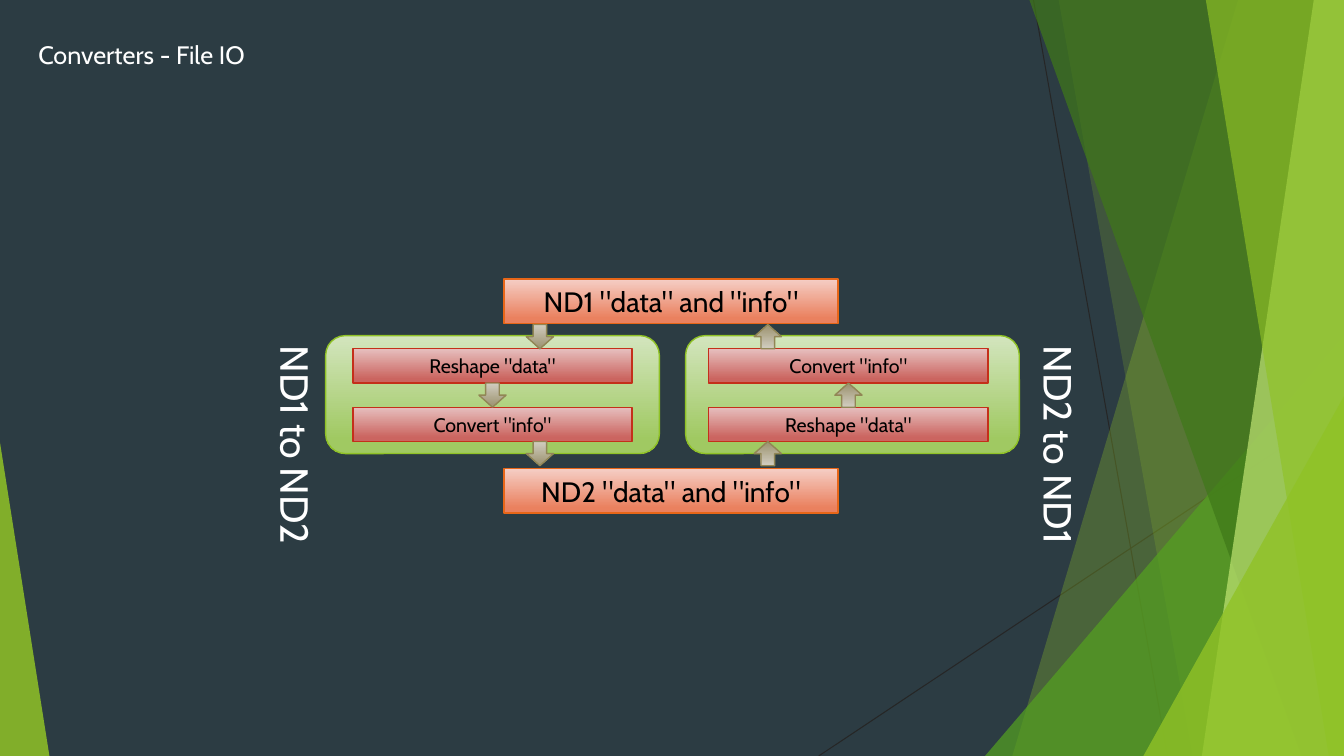
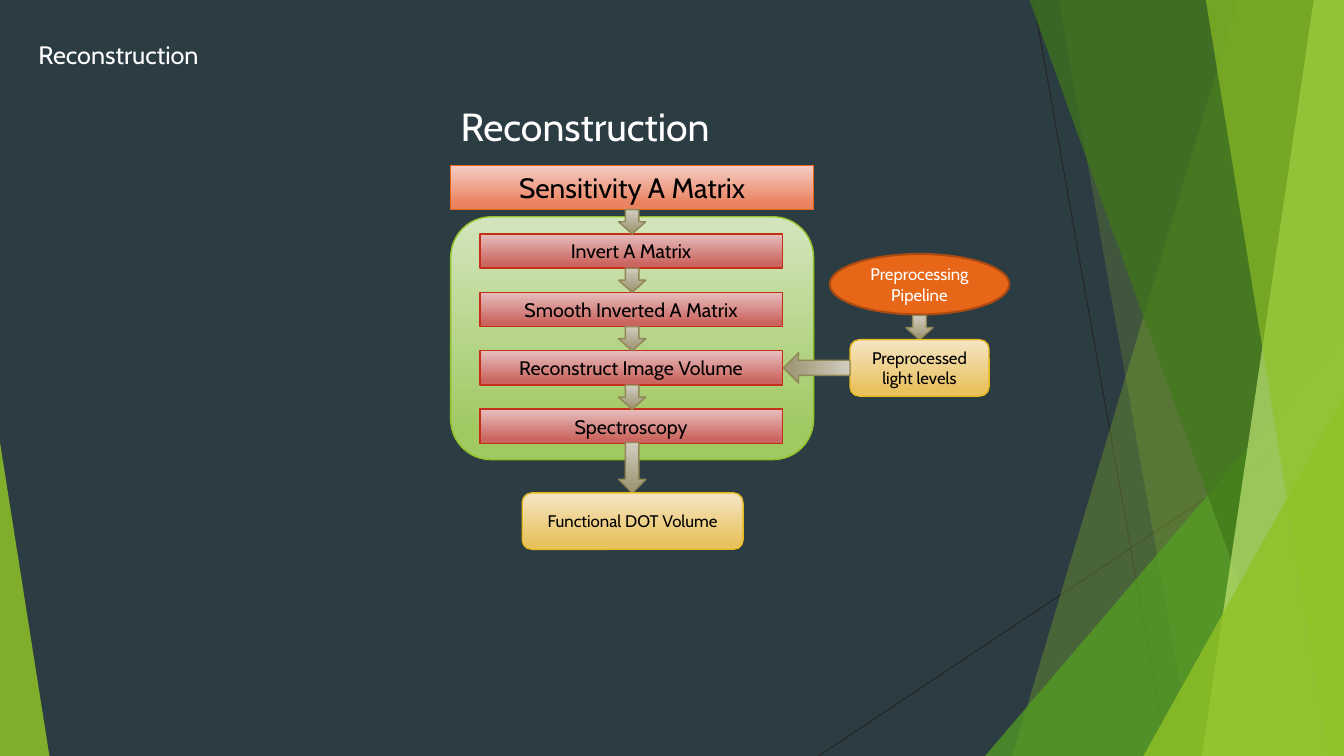
import pptx
import pptx.dml.color
import pptx.enum.shapes
import pptx.enum.text
import pptx.oxml.ns
import pptx.oxml.xmlchemy
import pptx.util
from lxml import etree

Inches = pptx.util.Inches
Pt = pptx.util.Pt
SHAPE = pptx.enum.shapes.MSO_SHAPE
ANCHOR = pptx.enum.text.MSO_ANCHOR
ALIGN = pptx.enum.text.PP_ALIGN
qn = pptx.oxml.ns.qn

WIDTH, HEIGHT = 13.33, 7.5
FONT = "Cabin"
BACKGROUND, WHITE, BLACK, HAIRLINE = "2C3C43", "FFFFFF", "000000", "262626"
LIME, GREEN, FOREST, PALE = "90C226", "54A021", "3F7819", "C0E474"

# preset, fill colours from top to bottom, line colour, line width, text size, text colour
STYLES = {
    "panel": (SHAPE.ROUNDED_RECTANGLE, ("D3E5BE", "A0C962"), LIME, 1, 14, BLACK),
    "header": (SHAPE.RECTANGLE, ("F5CEC5", "EA815F"), "E76618", 1, 20, BLACK),
    "step": (SHAPE.RECTANGLE, ("E6BFBE", "CB6560"), "C42F1A", 1, 14, BLACK),
    "result": (SHAPE.ROUNDED_RECTANGLE, ("F5E5C5", "E9C260"), "E6B91E", 1, 12, BLACK),
    "source": (SHAPE.OVAL, ("E76618",), "AB4B12", 1.5, 12, WHITE),
    "arrow": (SHAPE.DOWN_ARROW, ("D1CDC0", "A19877"), "918655", 1, 12, BLACK),
}
HEADER_HEIGHT = 0.44
STEP_HEIGHT, STEP_PITCH = 0.34, 0.58
ARROW_WIDTH, ARROW_HEIGHT = 0.27, 0.24


def color(value):
    return pptx.dml.color.RGBColor.from_string(value)


def write(shape, text, size, text_color, alignment, anchor=ANCHOR.MIDDLE):
    frame = shape.text_frame
    frame.word_wrap = True
    frame.vertical_anchor = anchor
    paragraph = frame.paragraphs[0]
    paragraph.text = text
    paragraph.alignment = alignment
    paragraph.font.name = FONT
    paragraph.font.size = Pt(size)
    paragraph.font.color.rgb = color(text_color)


def add_node(slide, style, left, top, width, height, text="", rotation=0):
    """Add a diagram shape in one of the named styles."""
    preset, fills, line_color, line_width, size, text_color = STYLES[style]
    shape = slide.shapes.add_shape(
        preset, Inches(left), Inches(top), Inches(width), Inches(height))
    shape.shadow.inherit = False
    shape.rotation = rotation
    if len(fills) == 1:
        shape.fill.solid()
        shape.fill.fore_color.rgb = color(fills[0])
    else:
        shape.fill.gradient()
        shape.fill.gradient_angle = 270
        for stop, value, position in zip(shape.fill.gradient_stops, fills, (0, 0.88)):
            stop.color.rgb = color(value)
            stop.position = position
    shape.line.color.rgb = color(line_color)
    shape.line.width = Pt(line_width)
    if text:
        write(shape, text, size, text_color, ALIGN.CENTER)


def add_arrow(slide, left, top, width=ARROW_WIDTH, height=ARROW_HEIGHT, rotation=0):
    add_node(slide, "arrow", left, top, width, height, rotation=rotation)


def add_caption(slide, text, left, top, width, height, vertical=False):
    box = slide.shapes.add_textbox(
        Inches(left), Inches(top), Inches(width), Inches(height))
    write(box, text, 28, WHITE, ALIGN.LEFT, ANCHOR.TOP)
    if vertical:
        next(box.element.iter(qn("a:bodyPr"))).set("vert", "vert")


def add_steps(slide, left, top, width, labels, arrow_lefts, rotation=0):
    """Stack the steps and put each arrow in the gap above its step."""
    for index, label in enumerate(labels):
        add_node(slide, "step", left, top + index * STEP_PITCH, width, STEP_HEIGHT, label)
    for index, arrow_left in enumerate(arrow_lefts):
        add_arrow(slide, arrow_left, top + index * STEP_PITCH - ARROW_HEIGHT,
                  rotation=rotation)


def make_glass(shape, fill_color, opacity):
    shape.shadow.inherit = False
    shape.fill.solid()
    shape.fill.fore_color.rgb = color(fill_color)
    shape.line.fill.background()
    fill = next(shape.element.iter(qn("a:srgbClr")))
    etree.SubElement(fill, qn("a:alpha")).set("val", str(opacity * 1000))


def add_band(slide, top_left, bottom_left, fill_color, opacity):
    """Add a band from a slanted left side to the right slide edge."""
    builder = slide.shapes.build_freeform(Inches(top_left), 0, scale=1.0)
    corners = [(WIDTH, 0), (WIDTH, HEIGHT), (bottom_left, HEIGHT)]
    builder.add_line_segments([(Inches(x), Inches(y)) for x, y in corners], close=True)
    make_glass(builder.convert_to_shape(), fill_color, opacity)


def add_corner(slide, left, top, width, apex, fill_color, opacity):
    """Add a right triangle that stands on the bottom slide edge."""
    shape = slide.shapes.add_shape(
        SHAPE.ISOSCELES_TRIANGLE, Inches(left), Inches(top),
        Inches(width), Inches(HEIGHT - top))
    shape.adjustments[0] = apex
    make_glass(shape, fill_color, opacity)


def add_hairline(slide, start, end):
    line = slide.shapes.add_connector(
        pptx.enum.shapes.MSO_CONNECTOR.STRAIGHT,
        *(Inches(value) for value in start + end))
    line.line.color.rgb = color(HAIRLINE)
    line.line.width = Pt(0.75)
    etree.SubElement(line.element.spPr, qn("a:effectLst"))


def decorate(slide):
    add_hairline(slide, (10.25, 0), (11.58, HEIGHT))
    add_hairline(slide, (WIDTH, 4.03), (8.12, HEIGHT))
    add_band(slide, 12.28, 10.04, LIME, 30)
    add_band(slide, 10.5, 11.83, LIME, 20)
    add_corner(slide, 9.77, 3.33, 3.56, 1, GREEN, 72)
    add_band(slide, 10.21, 12.91, FOREST, 70)
    add_band(slide, 13.03, 11.92, PALE, 70)
    add_band(slide, 11.96, 13.18, LIME, 65)
    add_corner(slide, 11.34, 3.93, 1.99, 1, LIME, 80)
    add_corner(slide, 0, 4.39, 0.49, 0, LIME, 85)


def prepare_layout(layout, slide):
    """Give the layout its background, title box and decoration."""
    layout.background.fill.solid()
    layout.background.fill.fore_color.rgb = color(BACKGROUND)
    for placeholder in list(layout.placeholders):
        if placeholder.placeholder_format.idx:
            layout.shapes.element.remove(placeholder.element)
        else:
            placeholder.left, placeholder.top = Inches(0.28), Inches(0.34)
            placeholder.width, placeholder.height = Inches(6), Inches(0.4)
    decorate(slide)
    for shape in list(slide.shapes):
        if not shape.is_placeholder:
            layout.shapes.element.append(shape.element)


def add_converter(slide, left, top, inset, labels, gate, middle, rotation):
    """Add a panel of two steps; gate and middle are arrow offsets from its left."""
    add_node(slide, "panel", left, top, 3.31, 1.17)
    arrow_lefts = [left + offset for offset in (gate, middle, gate)]
    add_steps(slide, left + inset, top + 0.13, 2.77, labels, arrow_lefts, rotation)


def build_converters(slide):
    write(slide.shapes.title, "Converters - File IO", 18, WHITE, ALIGN.LEFT, ANCHOR.TOP)
    top = 3.33
    labels = ['Reshape "data"', 'Convert "info"']
    for name, header_top in (("ND1", 2.77), ("ND2", 4.65)):
        add_node(slide, "header", 5, header_top, 3.31, HEADER_HEIGHT,
                 f'{name} "data" and "info"')
    add_converter(slide, 3.23, top, 0.27, labels, 1.99, 1.52, 0)
    add_converter(slide, 6.8, top, 0.23, labels[::-1], 0.68, 1.48, 180)
    for text, left in (("ND1 to ND2", 2.55), ("ND2 to ND1", 10.12)):
        add_caption(slide, text, left, top, 0.67, 2.63, vertical=True)


def add_reconstruction_flow(slide, left, top, width):
    center = left + width / 2
    arrow_left = center - ARROW_WIDTH / 2
    labels = ["Invert A Matrix", "Smooth Inverted A Matrix",
              "Reconstruct Image Volume", "Spectroscopy"]
    add_caption(slide, "Reconstruction", left, top - 0.67, 2.74, 0.67)
    add_node(slide, "panel", left, top + 0.51, width, 2.41)
    add_node(slide, "header", left, top, width, HEADER_HEIGHT, "Sensitivity A Matrix")
    add_steps(slide, left + 0.29, top + 0.68, 3, labels, [arrow_left] * len(labels))
    add_arrow(slide, arrow_left, top + 2.75, height=0.5)
    add_node(slide, "result", center - 1.09, top + 3.25, 2.19, 0.56,
             "Functional DOT Volume")


def add_light_levels(slide, left, top, width):
    """Add the side branch that feeds the image volume step."""
    center = left + width / 2
    add_node(slide, "source", left, top, width, 0.6, "Preprocessing Pipeline")
    add_arrow(slide, center - ARROW_WIDTH / 2, top + 0.61)
    add_node(slide, "result", center - 0.69, top + 0.85, 1.38, 0.56,
             "Preprocessed light levels")
    add_arrow(slide, left - 0.28, top + 0.8, 0.3, 0.66, rotation=90)


def build_reconstruction(slide):
    write(slide.shapes.title, "Reconstruction", 18, WHITE, ALIGN.LEFT, ANCHOR.TOP)
    add_reconstruction_flow(slide, 4.47, 1.64, 3.6)
    add_light_levels(slide, 8.23, 2.52, 1.78)


def main():
    presentation = pptx.Presentation()
    presentation.slide_width, presentation.slide_height = Inches(WIDTH), Inches(HEIGHT)
    layout = presentation.slide_layouts.get_by_name("Title Only")
    slides = [presentation.slides.add_slide(layout) for _ in range(2)]
    prepare_layout(layout, slides[0])
    build_converters(slides[0])
    build_reconstruction(slides[1])
    presentation.save("out.pptx")


if __name__ == "__main__":
    main()
